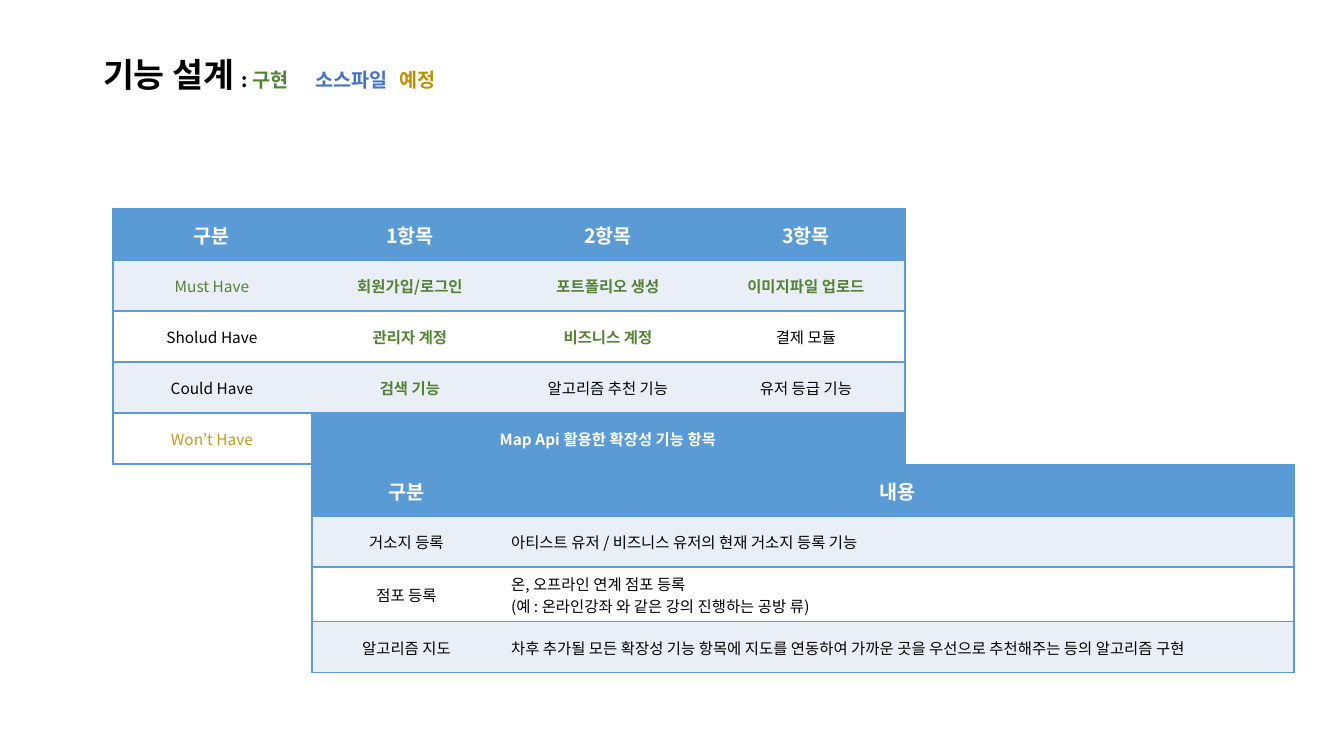
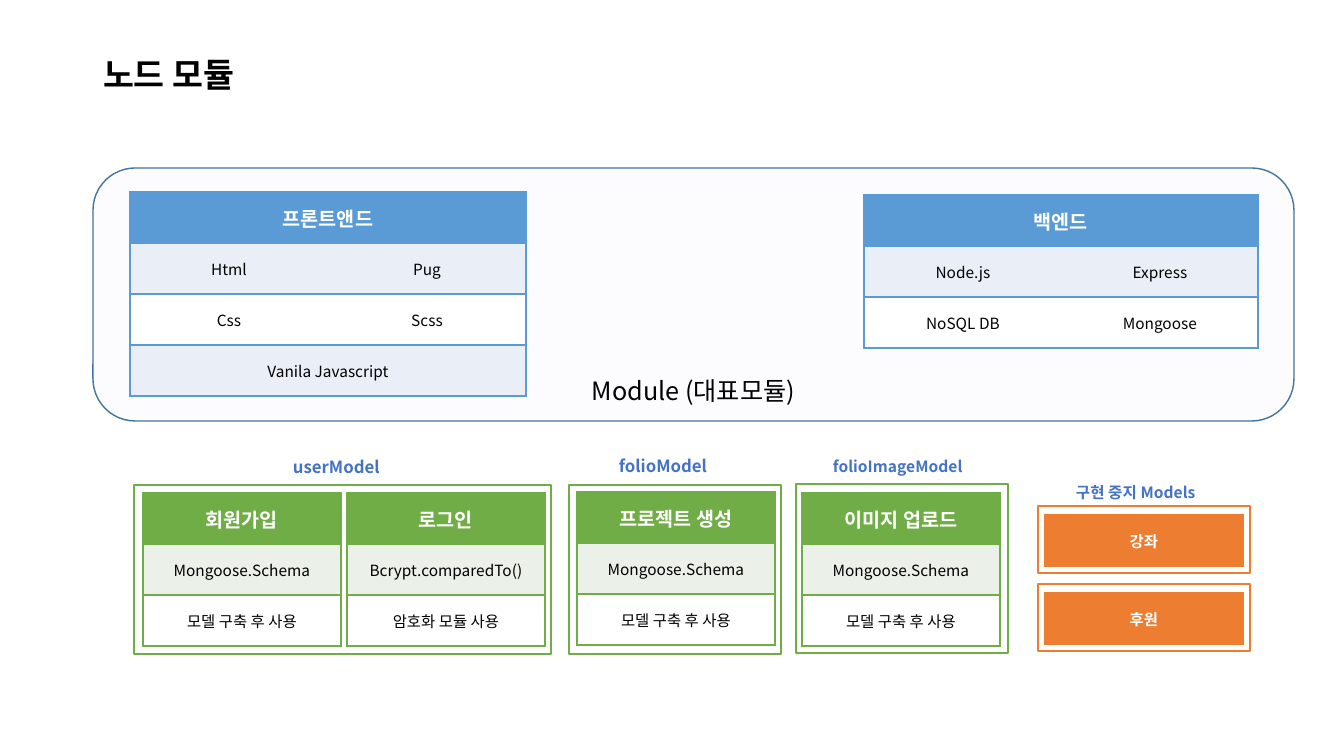
"""Build two project slides: the feature plan and the node modules."""
from dataclasses import dataclass

from lxml import etree
from pptx import Presentation
from pptx.dml.color import RGBColor
from pptx.enum.shapes import MSO_SHAPE
from pptx.enum.text import MSO_ANCHOR, MSO_AUTO_SIZE, PP_ALIGN
from pptx.oxml.ns import qn
from pptx.slide import Slide
from pptx.text.text import Font
from pptx.util import Emu, Pt

RECT, ROUND_RECT = MSO_SHAPE.RECTANGLE, MSO_SHAPE.ROUNDED_RECTANGLE
LEFT, CENTER = PP_ALIGN.LEFT, PP_ALIGN.CENTER
MIDDLE, BOTTOM = MSO_ANCHOR.MIDDLE, MSO_ANCHOR.BOTTOM
NO_FIT = MSO_AUTO_SIZE.NONE

EMU_PER_INCH, PX_PER_INCH = 914400, 100.8
FONT = "Noto Sans CJK KR"
WHITE, BLACK = "FFFFFF", "000000"
DONE, SOURCE, PLANNED = "548235", "4472C4", "BF9000"
BLUE, BLUE_BAND = "5B9BD5", "EAEFF7"
GREEN, GREEN_BAND = "70AD47", "EBF1E9"
ORANGE = "ED7D31"
ROW_HEIGHT, COLUMN = 51, 198
HEAD_SIZE, BODY_SIZE = 14, 11


@dataclass(frozen=True)
class Box:
    """Left, top, width and height in px."""

    x: int
    y: int
    width: int
    height: int


@dataclass(frozen=True)
class Span:
    """A stretch of title text in one size and colour."""

    text: str
    size: float
    color: str = BLACK


@dataclass(frozen=True)
class Entry:
    """A table cell that may stretch over several columns."""

    text: str
    color: str = BLACK
    bold: bool = False
    size: float = BODY_SIZE
    align: PP_ALIGN = CENTER
    columns: int = 1
    fill: str = ""


@dataclass(frozen=True)
class Grid:
    """A table with its place, columns, colours and rows."""

    x: int
    y: int
    widths: tuple[int, ...]
    rows: tuple[tuple[Entry, ...], ...]
    line: str = BLUE
    band: str = BLUE_BAND


@dataclass(frozen=True)
class Label:
    """A model caption."""

    text: str
    box: Box
    size: float


def px(length: int) -> Emu:
    """Turn px into EMU."""
    return Emu(round(length * EMU_PER_INCH / PX_PER_INCH))


def rgb(color: str) -> RGBColor:
    """Turn a hex string into a colour."""
    return RGBColor.from_string(color)


def place(box: Box) -> tuple[Emu, Emu, Emu, Emu]:
    """Give the EMU lengths of a box."""
    return px(box.x), px(box.y), px(box.width), px(box.height)


def style_font(font: Font, size: float, color: str, bold: bool) -> None:
    """Set the shared typeface with size, colour and weight."""
    font.name, font.size, font.bold = FONT, Pt(size), bold
    font.color.rgb = rgb(color)


def head(text: str, fill: str = BLUE, columns: int = 1) -> Entry:
    """Make a header entry."""
    return Entry(text, WHITE, True, HEAD_SIZE, columns=columns, fill=fill)


def done(text: str) -> Entry:
    """Make an entry for a finished feature."""
    return Entry(text, DONE, True)


def add_title(slide: Slide, spans: tuple[Span, ...], tabs: tuple[int, ...] = ()) -> None:
    """Fill the title placeholder with styled spans and tab stops."""
    title = slide.shapes.title
    title.left, title.top, title.width, title.height = place(Box(93, 41, 1201, 72))
    frame = title.text_frame
    frame.vertical_anchor, frame.auto_size = MIDDLE, NO_FIT
    paragraph = frame.paragraphs[0]
    paragraph.alignment, paragraph.line_spacing = LEFT, 0.9
    if tabs:
        stops = etree.SubElement(next(title.element.iter(qn("a:pPr"))), qn("a:tabLst"))
        for stop in tabs:
            etree.SubElement(stops, qn("a:tab"), pos=str(px(stop)), algn="l")
    for span in spans:
        run = paragraph.add_run()
        run.text = span.text
        style_font(run.font, span.size, span.color, True)


def add_panel(slide: Slide, box: Box, line: str, fill: str = WHITE,
              outline: MSO_SHAPE = RECT, caption: str = "") -> None:
    """Draw a framed panel with an optional caption at its foot."""
    panel = slide.shapes.add_shape(outline, *place(box))
    panel.shadow.inherit = False
    panel.fill.solid()
    panel.fill.fore_color.rgb = rgb(fill)
    panel.line.color.rgb = rgb(line)
    panel.line.width = Pt(1)
    if caption:
        frame = panel.text_frame
        frame.text, frame.vertical_anchor = caption, BOTTOM
        frame.margin_bottom = px(3)
        frame.paragraphs[0].alignment = CENTER
        style_font(frame.paragraphs[0].font, 18, BLACK, False)


def add_label(slide: Slide, label: Label) -> None:
    """Write a model caption."""
    frame = slide.shapes.add_textbox(*place(label.box)).text_frame
    frame.text, frame.word_wrap, frame.vertical_anchor = label.text, True, MIDDLE
    frame.paragraphs[0].line_spacing = 0.9
    style_font(frame.paragraphs[0].font, label.size, SOURCE, True)


def add_border(properties: etree.ElementBase, side: str, color: str) -> None:
    """Add one cell border, unpainted when no colour is given."""
    border = etree.SubElement(properties, qn(f"a:ln{side}"), w=str(Pt(1)))
    if color:
        paint = etree.SubElement(border, qn("a:solidFill"))
        etree.SubElement(paint, qn("a:srgbClr"), val=color)
    else:
        etree.SubElement(border, qn("a:noFill"))


def add_grid(slide: Slide, grid: Grid) -> None:
    """Draw a banded table with row lines and an outer frame."""
    box = Box(grid.x, grid.y, sum(grid.widths), ROW_HEIGHT * len(grid.rows))
    table = slide.shapes.add_table(len(grid.rows), len(grid.widths), *place(box)).table
    table.horz_banding = False
    for column, width in zip(table.columns, grid.widths):
        column.width = px(width)
    for index, entries in enumerate(grid.rows):
        table.rows[index].height = px(ROW_HEIGHT)
        band = grid.band if index % 2 else WHITE
        start = 0
        for entry in entries:
            end = start + entry.columns
            for position in range(start, end):
                cell = table.cell(index, position)
                properties = cell._tc.get_or_add_tcPr()
                add_border(properties, "L", "" if position else grid.line)
                add_border(properties, "R", grid.line if end == len(grid.widths) else "")
                add_border(properties, "T", grid.line)
                add_border(properties, "B", grid.line)
                cell.fill.solid()
                cell.fill.fore_color.rgb = rgb(entry.fill or band)
                cell.vertical_anchor = MIDDLE
            origin = table.cell(index, start)
            if entry.columns > 1:
                origin.merge(table.cell(index, end - 1))
            origin.text_frame.text = entry.text
            for paragraph in origin.text_frame.paragraphs:
                paragraph.alignment = entry.align
                style_font(paragraph.font, entry.size, entry.color, entry.bold)
            start = end


def use_east_asian_font(slide: Slide) -> None:
    """Give Hangul the typeface already set for Latin text."""
    for latin in list(slide.shapes.element.iter(qn("a:latin"))):
        latin.addnext(etree.Element(qn("a:ea"), typeface=FONT))


def model_card(x: int, y: int, name: str, tool: str, usage: str) -> Grid:
    """Describe a one-column model table."""
    rows = ((head(name, GREEN),), (Entry(tool),), (Entry(usage),))
    return Grid(x, y, (COLUMN,), rows, GREEN, GREEN_BAND)


FEATURES = Grid(113, 209, (COLUMN,) * 4, (
    (head("구분"), head("1항목"), head("2항목"), head("3항목")),
    (Entry("Must Have", DONE), done("회원가입/로그인"), done("포트폴리오 생성"),
     done("이미지파일 업로드")),
    (Entry("Sholud Have"), done("관리자 계정"), done("비즈니스 계정"), Entry("결제 모듈")),
    (Entry("Could Have"), done("검색 기능"), Entry("알고리즘 추천 기능"),
     Entry("유저 등급 기능")),
    (Entry("Won’t Have", "C69B1A"),
     Entry("Map Api 활용한 확장성 기능 항목", WHITE, True, columns=3, fill=BLUE)),
))
MAP_FEATURES = Grid(312, 465, (189, 793), (
    (head("구분"), head("내용")),
    (Entry("거소지 등록"),
     Entry("아티스트 유저 / 비즈니스 유저의 현재 거소지 등록 기능", align=LEFT)),
    (Entry("점포 등록"),
     Entry("온, 오프라인 연계 점포 등록\n(예 : 온라인강좌 와 같은 강의 진행하는 공방 류)",
           align=LEFT)),
    (Entry("알고리즘 지도"),
     Entry("차후 추가될 모든 확장성 기능 항목에 지도를 연동하여 가까운 곳을 "
           "우선으로 추천해주는 등의 알고리즘 구현", align=LEFT)),
))
FRONT_END = Grid(130, 192, (COLUMN, COLUMN), (
    (head("프론트앤드", columns=2),),
    (Entry("Html"), Entry("Pug")),
    (Entry("Css"), Entry("Scss")),
    (Entry("Vanila Javascript", columns=2),),
))
BACK_END = Grid(864, 195, (COLUMN, 196), (
    (head("백엔드", columns=2),),
    (Entry("Node.js"), Entry("Express")),
    (Entry("NoSQL DB"), Entry("Mongoose")),
))
SCHEMA, BUILD_MODEL = "Mongoose.Schema", "모델 구축 후 사용"
MODEL_CARDS = (
    model_card(143, 493, "회원가입", SCHEMA, BUILD_MODEL),
    model_card(347, 493, "로그인", "Bcrypt.comparedTo()", "암호화 모듈 사용"),
    model_card(577, 492, "프로젝트 생성", SCHEMA, BUILD_MODEL),
    model_card(802, 493, "이미지 업로드", SCHEMA, BUILD_MODEL),
)
MODEL_FRAMES = (Box(796, 484, 212, 169), Box(569, 485, 212, 169), Box(134, 485, 417, 169))
MODEL_LABELS = (
    Label("userModel", Box(283, 453, 118, 30), 12),
    Label("folioModel", Box(609, 452, 132, 30), 12),
    Label("folioImageModel", Box(823, 452, 156, 30), 11.1),
    Label("구현 중지 Models", Box(1066, 478, 156, 30), 11.1),
)
STOPPED_MODELS = ("강좌", "후원")


def build_feature_slide(slide: Slide) -> None:
    """Lay out the feature plan."""
    add_title(slide, (
        Span("기능 설계 ", 24), Span(": ", 14), Span("구현\t", 14, DONE),
        Span("소스파일\t", 14, SOURCE), Span("예정", 14, PLANNED),
    ), (212, 296))
    add_grid(slide, FEATURES)
    add_grid(slide, MAP_FEATURES)


def build_module_slide(slide: Slide) -> None:
    """Lay out the modules and models."""
    add_title(slide, (Span("노드 모듈", 24),))
    for frame in MODEL_FRAMES:
        add_panel(slide, frame, GREEN)
    add_panel(slide, Box(93, 168, 1201, 253), "43739E", "FCFCFE", ROUND_RECT,
              "Module (대표모듈)")
    for grid in (FRONT_END, BACK_END, *MODEL_CARDS):
        add_grid(slide, grid)
    for index, name in enumerate(STOPPED_MODELS):
        top = 506 + 78 * index
        add_panel(slide, Box(1038, top, 212, 67), ORANGE)
        stopped = Entry(name, WHITE, True, fill=ORANGE)
        add_grid(slide, Grid(1045, top + 9, (COLUMN,), ((stopped,),), ORANGE))
    for label in MODEL_LABELS:
        add_label(slide, label)


def main() -> None:
    """Build and save the presentation."""
    deck = Presentation()
    deck.slide_width, deck.slide_height = px(1344), px(756)
    title_only = deck.slide_layouts[5]
    for build in (build_feature_slide, build_module_slide):
        slide = deck.slides.add_slide(title_only)
        build(slide)
        use_east_asian_font(slide)
    deck.save("out.pptx")


if __name__ == "__main__":
    main()
